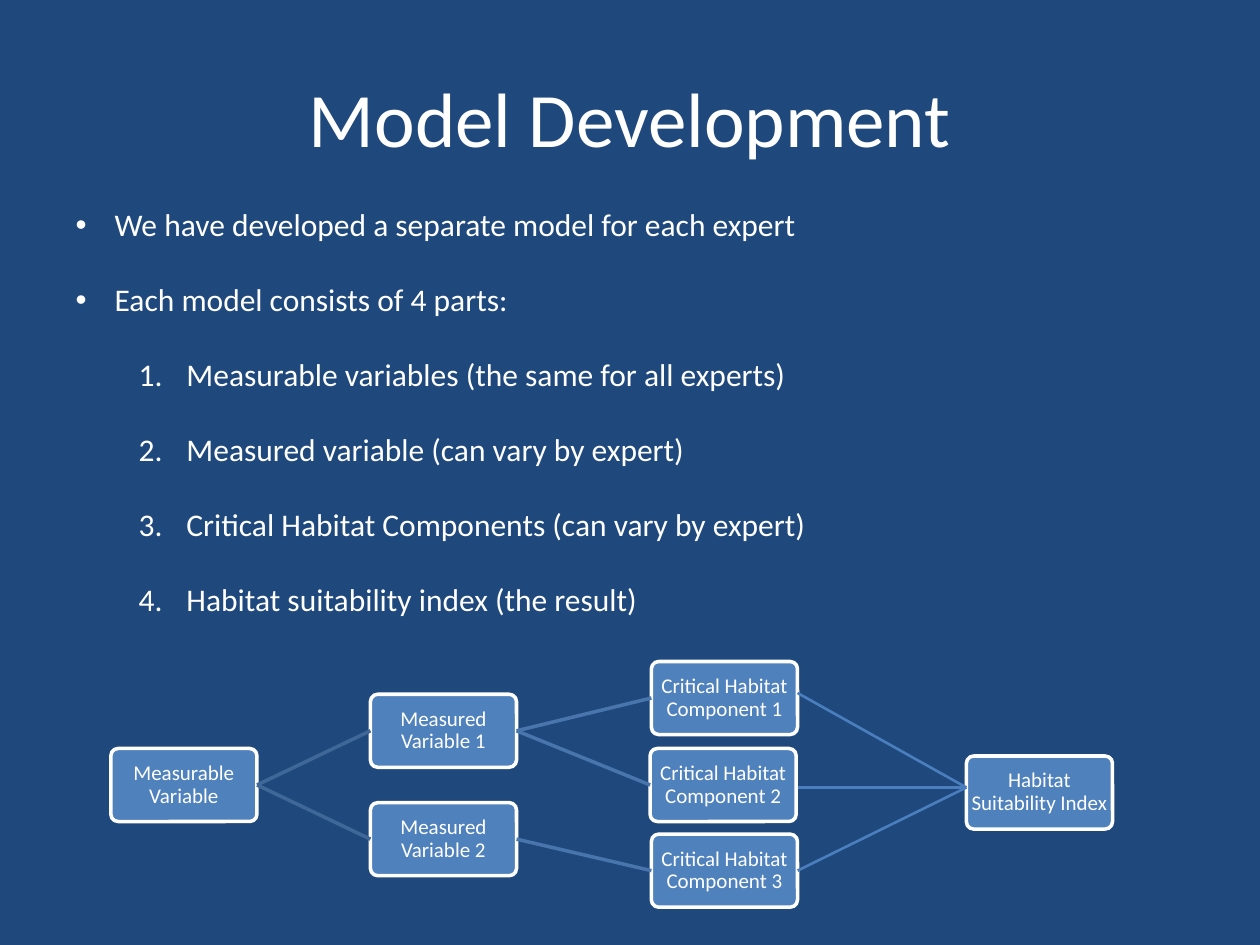
from pptx import Presentation
from pptx.dml.color import RGBColor
from pptx.enum.shapes import MSO_CONNECTOR as Connector, MSO_SHAPE as Shape
from pptx.enum.text import MSO_ANCHOR as Anchor, MSO_AUTO_SIZE as AutoSize, PP_ALIGN as Align
from pptx.oxml.ns import qn
from pptx.util import Inches, Pt
from lxml.etree import SubElement

NAVY = RGBColor(0x1F, 0x49, 0x7D)
WHITE = RGBColor(0xFF, 0xFF, 0xFF)
BLUE = RGBColor(0x4F, 0x81, 0xBD)
FIRST_LINK = RGBColor(0x3F, 0x67, 0x97)
SECOND_LINK = RGBColor(0x48, 0x75, 0xAC)
RESULT_LINK = RGBColor(0x4B, 0x7E, 0xBC)

BOX_WIDTH, BOX_HEIGHT = 1.16, 0.58
LEFT, RIGHT = 1, 3

BULLETS = [
    "We have developed a separate model for each expert",
    "Each model consists of 4 parts:",
]
PARTS = [
    "Measurable variables (the same for all experts)",
    "Measured variable (can vary by expert)",
    "Critical Habitat Components (can vary by expert)",
    "Habitat suitability index (the result)",
]
BOXES = {
    "Measurable Variable": (0.88, 5.94),
    "Measured Variable 1": (2.94, 5.51),
    "Measured Variable 2": (2.94, 6.37),
    "Critical Habitat Component 1": (5.17, 5.25),
    "Critical Habitat Component 2": (5.16, 5.94),
    "Critical Habitat Component 3": (5.17, 6.62),
    "Habitat Suitability Index": (7.67, 6.0),
}


def apply(target, **values):
    for name, value in values.items():
        setattr(target, name, value)


class SlideBuilder:
    font = "Calibri"

    def __init__(self, deck):
        self.page = deck.slides.add_slide(deck.slide_layouts[1])
        fill = self.page.background.fill
        fill.solid()
        fill.fore_color.rgb = NAVY

    def place(self, shape, left, top, width, height):
        apply(shape, left=Inches(left), top=Inches(top),
              width=Inches(width), height=Inches(height))

    def add_text(self, para, text, size):
        span = para.add_run()
        span.text = text
        apply(span.font, name=self.font, size=Pt(size))
        span.font.color.rgb = WHITE

    def title(self, text, *area):
        title = self.page.shapes.title
        self.place(title, *area)
        apply(title.text_frame, vertical_anchor=Anchor.MIDDLE, auto_size=AutoSize.NONE)
        para = title.text_frame.paragraphs[0]
        para.alignment = Align.CENTER
        self.add_text(para, text, 44)

    def body(self, bullets, parts, *area):
        body = self.page.placeholders[1]
        self.place(body, *area)
        frame = body.text_frame
        frame.auto_size = AutoSize.NONE
        items = [(text, 0) for text in bullets] + [(text, 1) for text in parts]
        for index, (text, level) in enumerate(items):
            para = frame.add_paragraph() if index else frame.paragraphs[0]
            apply(para, level=level, space_before=Pt(1.5), space_after=Pt(19.7))
            margin, indent = [(0.31, -0.31), (0.88, -0.38)][level]
            properties = para._p.get_or_add_pPr()
            properties.set("marL", str(Inches(margin)))
            properties.set("indent", str(Inches(indent)))
            if level:
                SubElement(properties, qn("a:buAutoNum"), type="arabicPeriod")
            else:
                SubElement(properties, qn("a:buChar"), char="•")
            self.add_text(para, text, 18)

    def box(self, text, left, top):
        box = self.page.shapes.add_shape(
            Shape.ROUNDED_RECTANGLE, Inches(left), Inches(top),
            Inches(BOX_WIDTH), Inches(BOX_HEIGHT))
        box.adjustments[0] = 0.1
        box.shadow.inherit = False
        box.fill.solid()
        box.fill.fore_color.rgb = BLUE
        box.line.color.rgb = WHITE
        box.line.width = Pt(2)
        inset = Inches(0.02)
        apply(box.text_frame, word_wrap=True, vertical_anchor=Anchor.MIDDLE,
              margin_left=inset, margin_right=inset, margin_top=inset, margin_bottom=inset)
        para = box.text_frame.paragraphs[0]
        apply(para, alignment=Align.CENTER, line_spacing=0.9)
        self.add_text(para, text, 12)
        return box

    def link(self, start, end, color, width):
        points = [Inches(value) for point in (start, end)
                  for value in (point if isinstance(point, tuple) else (0, 0))]
        line = self.page.shapes.add_connector(Connector.STRAIGHT, *points)
        if not isinstance(start, tuple):
            line.begin_connect(start, RIGHT)
        if not isinstance(end, tuple):
            line.end_connect(end, LEFT)
        line.line.color.rgb = color
        line.line.width = Pt(width)
        SubElement(line._element.spPr, qn("a:effectLst"))


def main():
    deck = Presentation()
    apply(deck, slide_width=Inches(10), slide_height=Inches(7.5))
    slide = SlideBuilder(deck)
    slide.title("Model Development", 0.5, 0.3, 9, 1.25)
    slide.body(BULLETS, PARTS, 0.5, 1.58, 8.83, 3.43)

    boxes = [slide.box(text, *corner) for text, corner in BOXES.items()]
    measurable, measured_1, measured_2, critical_1, critical_2, critical_3, _ = boxes
    index_entry = (7.67, 6.25)
    links = [
        (measurable, measured_1, FIRST_LINK, 2),
        (measurable, measured_2, FIRST_LINK, 2),
        (measured_1, critical_1, SECOND_LINK, 2),
        (measured_1, critical_2, SECOND_LINK, 2),
        (measured_2, critical_3, SECOND_LINK, 2),
        ((6.33, 5.5), index_entry, RESULT_LINK, 1.5),
        ((6.33, 6.25), index_entry, RESULT_LINK, 1.5),
        (critical_3, index_entry, RESULT_LINK, 1.5),
    ]
    for link in links:
        slide.link(*link)
    deck.save("out.pptx")


if __name__ == "__main__":
    main()
